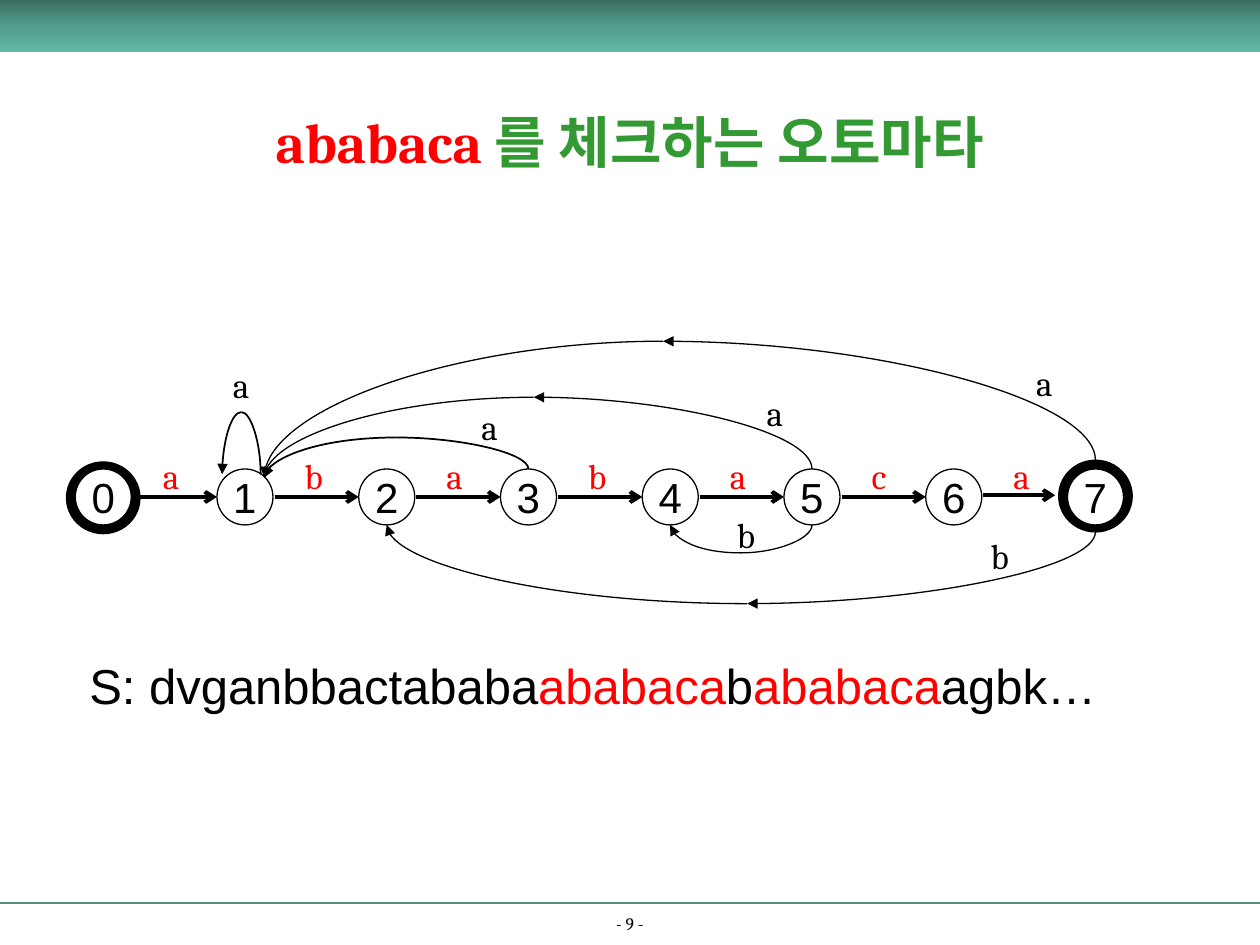
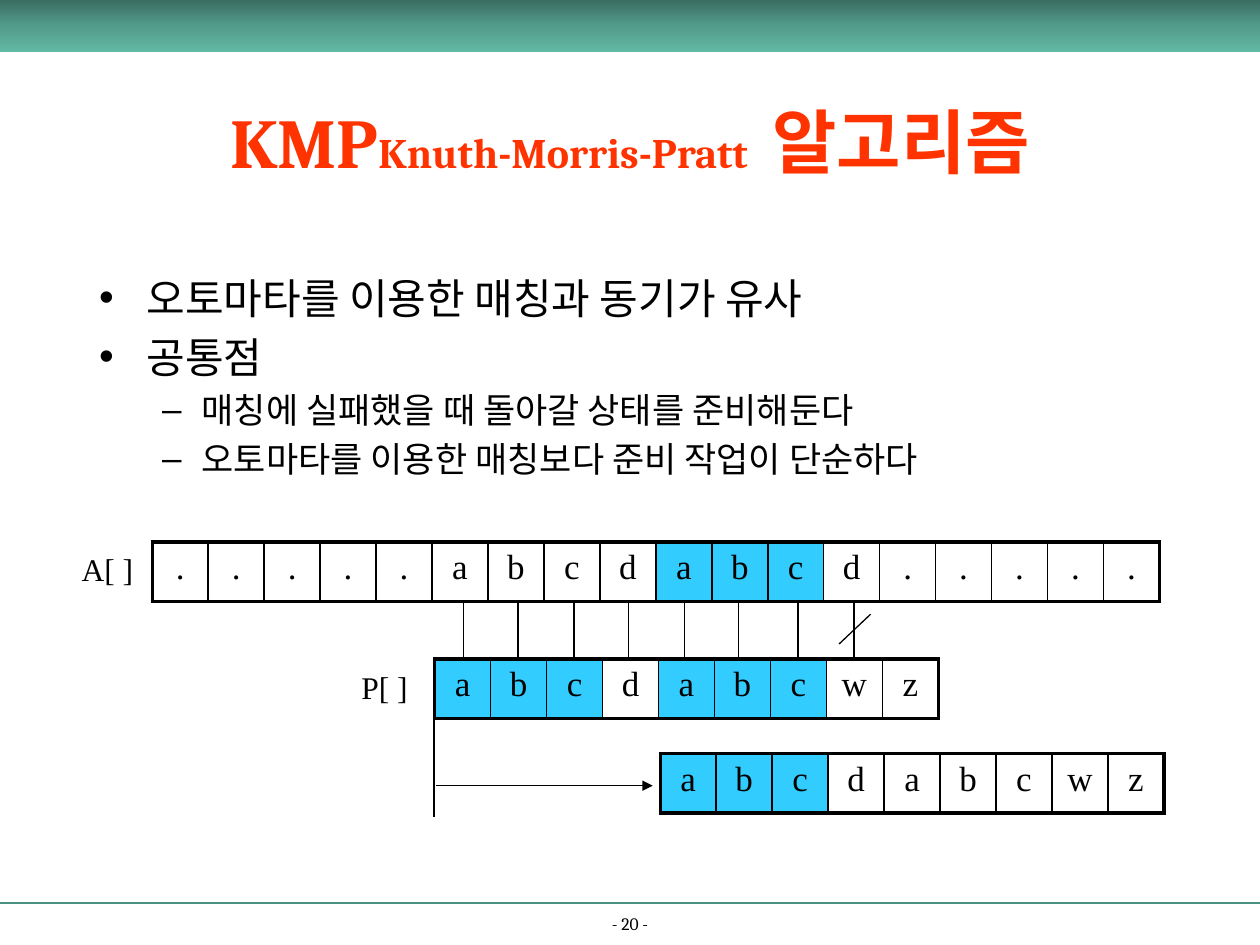
from copy import deepcopy

from lxml.etree import SubElement
from pptx import Presentation
from pptx.dml.color import RGBColor
from pptx.enum.shapes import MSO_CONNECTOR, MSO_SHAPE
from pptx.enum.text import MSO_ANCHOR, MSO_AUTO_SIZE, PP_ALIGN
from pptx.oxml.ns import qn
from pptx.util import Pt

BLACK = RGBColor(0x00, 0x00, 0x00)
WHITE = RGBColor(0xFF, 0xFF, 0xFF)
RED = RGBColor(0xFF, 0x00, 0x00)
GREEN = RGBColor(0x33, 0x99, 0x33)
ORANGE = RGBColor(0xFF, 0x33, 0x00)
MATCH_BLUE = RGBColor(0x33, 0xCC, 0xFF)
RULE_TEAL = RGBColor(0x4C, 0x92, 0x82)
BAND_TEALS = [RGBColor(0x3A, 0x6D, 0x62), RGBColor(0x53, 0x9C, 0x8B), RGBColor(0x62, 0xB9, 0xA5)]
SERIF, SANS, ROMAN = "Cambria", "Arial", "Times New Roman"

AUTOMATON_TITLE = [("ababaca", 32, RED), (" 를 체크하는 오토마타", 32, GREEN)]
KMP_TITLE = [("KMP", 40, ORANGE), ("Knuth-Morris-Pratt ", 24, ORANGE), (" 알고리즘", 40, ORANGE)]

PATTERN = "ababaca"
STATE_LEFT, STATE_TOP, STATE_SIZE, STATE_PITCH = 43, 268, 32, 81
RINGS = [(38, 264), (605, 263)]
RETURNS = [
    ((149, 271), (138, 235.5), (127, 271), 1, False),
    ((302, 268), (226.5, 250), (151, 273), 1, False),
    ((464, 268), (305, 227), (151, 273), 0.75, True),
    ((626, 263), (379, 195), (151, 273), 0.75, True),
    ((464, 300), (423.5, 316), (383, 300), 0.75, False),
    ((626, 304), (427, 345), (221, 300), 0.75, True),
]
RETURN_LABELS = [
    ("a", 126, 204), ("a", 268, 228), ("a", 431, 220),
    ("a", 585, 203), ("b", 414, 290), ("b", 559, 302),
]
SEARCHED = [
    ("S: dvganbbactababa", 28, BLACK), ("ababaca", 28, RED), ("b", 28, BLACK),
    ("ababaca", 28, RED), ("agbk…", 28, BLACK),
]

POINTS = [
    (0, "오토마타를 이용한 매칭과 동기가 유사"),
    (0, "공통점"),
    (1, "매칭에 실패했을 때 돌아갈 상태를 준비해둔다"),
    (1, "오토마타를 이용한 매칭보다 준비 작업이 단순하다"),
]
POINT_SIZES = [24, 20]
ARRAYS = [
    (".....abcdabcd.....", {9, 10, 11}, 87, 309.6),
    ("abcdabcwz", {0, 1, 2, 4, 5, 6}, 248.4, 376.6),
    ("abcdabcwz", {0, 1, 2}, 377.3, 430.6),
]
ARRAY_LABELS = [("A[ ]", 39.6, 311, 44), ("P[ ]", 199.4, 378, 47.5)]
CELL_WIDTH, CELL_HEIGHT = 32, 34
COMPARED_X = [265, 296, 328, 359, 391, 422, 456, 488]


def write_runs(paragraph, pieces, font, bold=False):
    for text, size, colour in pieces:
        run = paragraph.add_run()
        run.text = text
        run.font.name, run.font.size, run.font.bold = font, Pt(size), bold
        run.font.color.rgb = colour


def place(shape, left, top, width, height):
    shape.left, shape.top, shape.width, shape.height = Pt(left), Pt(top), Pt(width), Pt(height)


def add_preset(slide, kind, left, top, width, height):
    shape = slide.shapes.add_shape(kind, Pt(left), Pt(top), Pt(width), Pt(height))
    shape.shadow.inherit = False
    return shape


def add_circle(slide, left, top, width, height, fill=None):
    circle = add_preset(slide, MSO_SHAPE.OVAL, left, top, width, height)
    if fill is None:
        circle.fill.background()
    else:
        circle.fill.solid()
        circle.fill.fore_color.rgb = fill
    circle.line.color.rgb = BLACK
    circle.line.width = Pt(0.75)
    return circle


def add_label(slide, pieces, font, left, top, width, height):
    label = slide.shapes.add_textbox(Pt(left), Pt(top), Pt(width), Pt(height))
    frame = label.text_frame
    frame.word_wrap = False
    frame.auto_size = MSO_AUTO_SIZE.SHAPE_TO_FIT_TEXT
    write_runs(frame.paragraphs[0], pieces, font)


def add_line(slide, begin, end, width=0.75, colour=BLACK, head=None, tail=None, curved=False):
    kind = MSO_CONNECTOR.CURVE if curved else MSO_CONNECTOR.STRAIGHT
    line = slide.shapes.add_connector(kind, *(Pt(value) for value in begin + end))
    line.line.color.rgb = colour
    line.line.width = Pt(width)
    properties = line._element.spPr
    if curved:
        properties.find(qn("a:prstGeom")).set("prst", "curvedConnector2")
    for tag, arrow in (("a:headEnd", head), ("a:tailEnd", tail)):
        if arrow:
            SubElement(properties.find(qn("a:ln")), qn(tag), type=arrow)
    SubElement(properties, qn("a:effectLst"))


def add_return(slide, start, peak, end, width, arrow_at_peak):
    peak_arrow = "triangle" if arrow_at_peak else None
    add_line(slide, peak, start, width, head=peak_arrow, curved=True)
    add_line(slide, peak, end, width, tail="triangle", curved=True)


def add_page(deck, layout, number, title):
    slide = deck.slides.add_slide(deck.slide_layouts[layout])
    add_line(slide, (0, 516), (720, 516), 1.5, RULE_TEAL)

    footer = slide.shapes.add_textbox(Pt(0), Pt(521), Pt(720), Pt(16)).text_frame
    footer.word_wrap = True
    footer.vertical_anchor = MSO_ANCHOR.BOTTOM
    footer.paragraphs[0].alignment = PP_ALIGN.CENTER
    footer.paragraphs[0].line_spacing = 0.8
    write_runs(footer.paragraphs[0], [(f"- {number} -", 10, BLACK)], SERIF)

    band = add_preset(slide, MSO_SHAPE.RECTANGLE, 0, 0, 720, 30)
    band.line.fill.background()
    band.fill.gradient()
    band.fill.gradient_angle = 270
    stops = band._element.spPr.find(".//" + qn("a:gsLst"))
    stops.insert(1, deepcopy(stops[0]))
    for stop, position, colour in zip(band.fill.gradient_stops, (0, 0.5, 1), BAND_TEALS):
        stop.position = position
        stop.color.rgb = colour

    heading = slide.shapes.title
    place(heading, 54, 35.5, 612, 90)
    heading.text_frame.auto_size = MSO_AUTO_SIZE.NONE
    heading.text_frame.vertical_anchor = MSO_ANCHOR.MIDDLE
    heading.text_frame.paragraphs[0].alignment = PP_ALIGN.CENTER
    write_runs(heading.text_frame.paragraphs[0], title, SERIF, bold=True)
    return slide


def add_state(slide, index):
    accented = index in (0, len(PATTERN))
    left = STATE_LEFT + STATE_PITCH * index
    state = add_circle(slide, left, STATE_TOP, STATE_SIZE, STATE_SIZE, WHITE if accented else None)
    frame = state.text_frame
    frame.word_wrap = False
    frame.vertical_anchor = MSO_ANCHOR.MIDDLE
    frame.paragraphs[0].alignment = PP_ALIGN.CENTER
    write_runs(frame.paragraphs[0], [(str(index), 24, BLACK)], SANS)


def add_letter(slide, letter, left, top, colour):
    add_label(slide, [(letter, 20, colour)], SERIF, left, top, 24.5 if letter == "b" else 23, 31)


def build_automaton(deck):
    slide = add_page(deck, 5, 9, AUTOMATON_TITLE)
    for left, top in RINGS:
        add_circle(slide, left, top, 42, 41, BLACK)
    for index in range(len(PATTERN) + 1):
        add_state(slide, index)
    for index, letter in enumerate(PATTERN):
        shift = STATE_PITCH * index
        into_ring = index == len(PATTERN) - 1
        y = 283 if into_ring else 284
        length = 41 if into_ring else 48
        add_line(slide, (76 + shift, y), (76 + shift + length, y), 2.25, tail="arrow")
        add_letter(slide, letter, 86 + shift, 256, RED)
    for edge in RETURNS:
        add_return(slide, *edge)
    for letter, left, top in RETURN_LABELS:
        add_letter(slide, letter, left, top, BLACK)
    add_label(slide, SEARCHED, SANS, 44, 371, 592, 41)


def set_borders(cell, widths):
    properties = cell._tc.get_or_add_tcPr()
    for position, (side, width) in enumerate(widths.items()):
        border = SubElement(properties, qn(f"a:ln{side}"), w=str(Pt(width)))
        SubElement(SubElement(border, qn("a:solidFill")), qn("a:srgbClr"), val=str(BLACK))
        properties.insert(position, border)


def add_array(slide, letters, matched, left, top):
    count = len(letters)
    table = slide.shapes.add_table(
        1, count, Pt(left), Pt(top), Pt(CELL_WIDTH * count), Pt(CELL_HEIGHT)).table
    table.first_row = table.horz_banding = False
    for index, letter in enumerate(letters):
        table.columns[index].width = Pt(CELL_WIDTH)
        cell = table.cell(0, index)
        if index in matched:
            cell.fill.solid()
            cell.fill.fore_color.rgb = MATCH_BLUE
        else:
            cell.fill.background()
        set_borders(cell, {
            "L": 2.25 if index == 0 else 1,
            "R": 2.25 if index == count - 1 else 1,
            "T": 2.25,
            "B": 2.25,
        })
        paragraph = cell.text_frame.paragraphs[0]
        paragraph.alignment = PP_ALIGN.CENTER
        write_runs(paragraph, [(letter, 20, BLACK)], ROMAN)


def build_kmp(deck):
    slide = add_page(deck, 1, 20, KMP_TITLE)
    body = slide.placeholders[1]
    place(body, 49.5, 152, 612, 145)
    frame = body.text_frame
    frame.auto_size = MSO_AUTO_SIZE.NONE
    for index, (level, text) in enumerate(POINTS):
        paragraph = frame.add_paragraph() if index else frame.paragraphs[0]
        paragraph.level = level
        write_runs(paragraph, [(text, POINT_SIZES[level], BLACK)], SERIF)
    frame.paragraphs[0].space_before = Pt(0)

    for array in ARRAYS:
        add_array(slide, *array)
    for x in COMPARED_X:
        add_line(slide, (x, 343), (x, 377))
    add_line(slide, (497.5, 351), (479.5, 368))
    add_line(slide, (249, 449), (373, 449), tail="triangle")
    add_line(slide, (248, 411), (248, 467))
    for text, left, top, width in ARRAY_LABELS:
        add_label(slide, [(text, 18, BLACK)], ROMAN, left, top, width, 29)


def main():
    deck = Presentation()
    deck.slide_width, deck.slide_height = Pt(720), Pt(540)
    build_automaton(deck)
    build_kmp(deck)
    deck.save("out.pptx")


if __name__ == "__main__":
    main()
